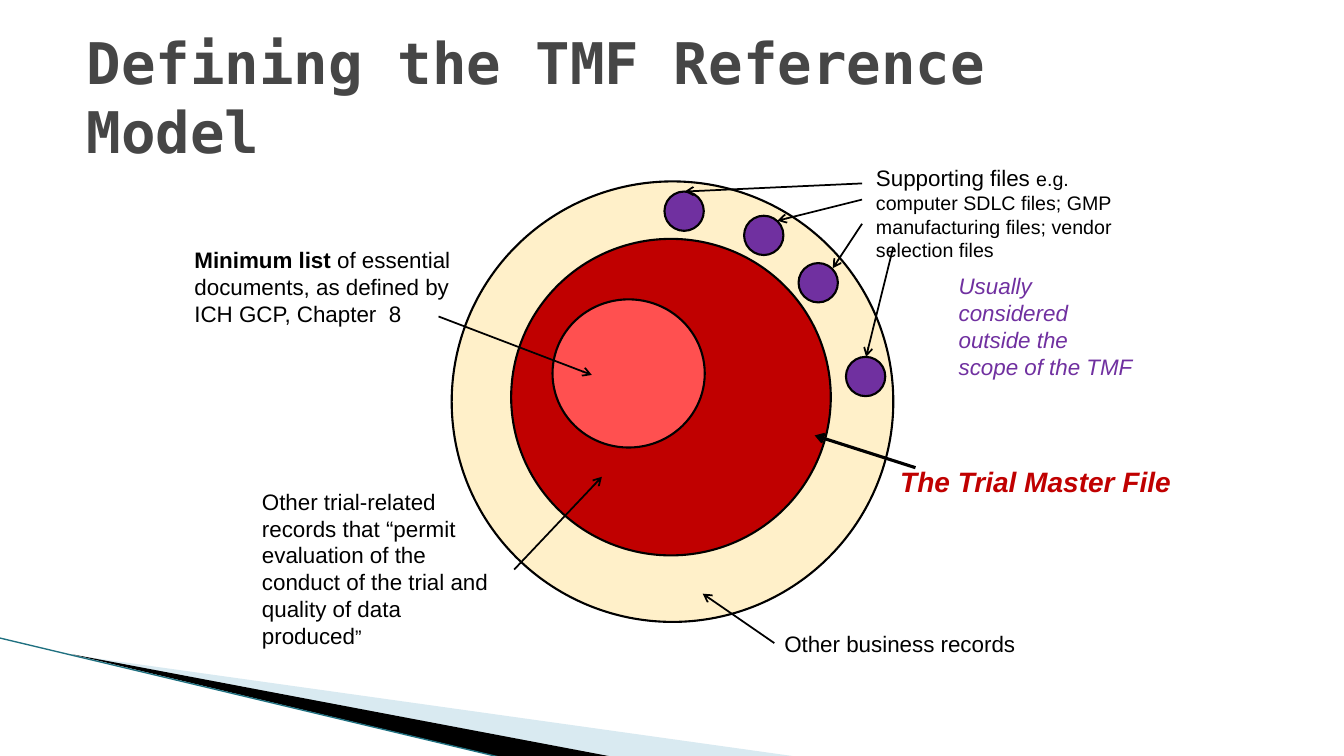
from lxml import etree
from pptx import Presentation
from pptx.dml.color import RGBColor
from pptx.enum.shapes import MSO_CONNECTOR as CONN, MSO_SHAPE as SHAPE
from pptx.enum.text import MSO_ANCHOR as ANCHOR
from pptx.oxml.ns import qn
from pptx.util import Inches, Pt

BLACK = RGBColor(0x00, 0x00, 0x00)
GREY = RGBColor(0x46, 0x46, 0x46)
CREAM = RGBColor(0xFF, 0xF0, 0xC9)
RED = RGBColor(0xC0, 0x00, 0x00)
CORAL = RGBColor(0xFF, 0x50, 0x50)
PURPLE = RGBColor(0x70, 0x30, 0xA0)
PALE_BLUE = RGBColor(0xD9, 0xEA, 0xF1)
TEAL = RGBColor(0x1F, 0x70, 0x80)

DOT_SIZE = 0.39
RINGS = [
    (2.65, 0.22, 4.38, 4.37, CREAM),
    (3.24, 0.79, 3.17, 3.14, RED),
    (3.65, 1.39, 1.51, 1.47, CORAL),
]
DOTS = [(4.76, 0.32), (5.55, 0.56), (6.09, 1.03), (6.56, 1.96)]
ARROWS = [
    (5.85, 4.8, 5.14, 4.31, 1.25),
    (6.72, 0.24, 4.96, 0.32, 1.25),
    (6.72, 0.4, 5.88, 0.61, 1.25),
    (6.72, 0.64, 6.43, 1.08, 1.25),
    (7.03, 0.87, 6.76, 1.96, 1.25),
    (3.27, 4.07, 4.14, 3.15, 1.25),
    (2.52, 1.56, 4.04, 2.14, 1.25),
    (7.25, 3.06, 6.25, 2.74, 2.25),
]
LABELS = [
    (5.85, 4.62, 2.81, 0.37, [("Other business records", 16, BLACK, "")]),
    (6.76, 0, 2.66, 1.08, [
        ("Supporting files ", 16, BLACK, ""),
        ("e.g. computer SDLC files; GMP manufacturing files; "
         "vendor selection files", 14, BLACK, "")]),
    (7.58, 1.07, 1.93, 1.45, [
        ("Usually considered outside the scope of the TMF", 16, PURPLE, "i")]),
    (0.67, 3.21, 2.6, 1.72, [
        ("Other trial-related records that “permit  evaluation of the "
         "conduct of the trial and quality of data produced", 16, BLACK, ""),
        ("”", 14, BLACK, "")]),
    (0, 0.81, 3.12, 0.91, [
        ("Minimum list ", 16, BLACK, "b"),
        ("of essential documents, as defined by ICH GCP, Chapter  8",
         16, BLACK, "")]),
    (7, 2.98, 2.92, 0.44, [("The Trial Master File", 20, RED, "bi")]),
]


def add_text(slide, x, y, w, h, runs, font="Arial", anchor=ANCHOR.TOP):
    """Add a wrapped text box made of (text, size, colour, style) runs."""
    box = slide.shapes.add_textbox(Inches(x), Inches(y), Inches(w), Inches(h))
    tf = box.text_frame
    tf.word_wrap = True
    tf.vertical_anchor = anchor
    for text, size, color, style in runs:
        r = tf.paragraphs[0].add_run()
        r.text = text
        r.font.name = font
        r.font.size = Pt(size)
        r.font.color.rgb = color
        r.font.bold = "b" in style
        r.font.italic = "i" in style


def add_circle(slide, x, y, w, h, color):
    """Add a filled ellipse with a black outline."""
    sp = slide.shapes.add_shape(
        SHAPE.OVAL, Inches(x), Inches(y), Inches(w), Inches(h))
    sp.shadow.inherit = False
    sp.fill.solid()
    sp.fill.fore_color.rgb = color
    sp.line.color.rgb = BLACK
    sp.line.width = Pt(1.5)


def add_line(slide, x1, y1, x2, y2, color, width, arrow=False):
    """Add a straight line, with an open arrowhead at its end if asked."""
    line = slide.shapes.add_connector(
        CONN.STRAIGHT, Inches(x1), Inches(y1), Inches(x2), Inches(y2))
    line.line.color.rgb = color
    line.line.width = Pt(width)
    if arrow:
        etree.SubElement(line.line._get_or_add_ln(), qn("a:tailEnd"), type="arrow")
    etree.SubElement(line._element.spPr, qn("a:effectLst"))


def add_wedge(slide, points, color):
    """Add a filled polygon without an outline."""
    builder = slide.shapes.build_freeform(
        *(Inches(v) for v in points[0]), scale=1.0)
    builder.add_line_segments([(Inches(x), Inches(y)) for x, y in points[1:]])
    sp = builder.convert_to_shape()
    sp.shadow.inherit = False
    sp.fill.solid()
    sp.fill.fore_color.rgb = color
    sp.line.fill.background()


def add_swoosh(slide, x, y):
    """Draw the sweeping corner decoration from its top left point."""
    wedges = [
        ([(0.73, 0.17), (7.93, 1.18), (6.08, 1.18)], PALE_BLUE),
        ([(0.71, 0.16), (6.09, 1.18), (4.96, 1.18)], BLACK),
    ]
    for points, color in wedges:
        add_wedge(slide, [(x + dx, y + dy) for dx, dy in points], color)
    add_line(slide, x, y, x + 4.95, y + 1.18, TEAL, 0.95)


def add_title(slide, x, y, w, h):
    """Place the slide title in the given box."""
    runs = [("Defining the TMF Reference Model", 41, GREY, "b")]
    add_text(slide, x, y, w, h, runs, "DejaVu Sans Mono", ANCHOR.MIDDLE)


def add_diagram(slide, x, y):
    """Draw the nested record circles with their labels and arrows."""
    for dx, dy, w, h, color in RINGS:
        add_circle(slide, x + dx, y + dy, w, h, color)
    for dx, dy in DOTS:
        add_circle(slide, x + dx, y + dy, DOT_SIZE, DOT_SIZE, PURPLE)
    for dx, dy, w, h, runs in LABELS:
        add_text(slide, x + dx, y + dy, w, h, runs)
    for x1, y1, x2, y2, width in ARROWS:
        add_line(slide, x + x1, y + y1, x + x2, y + y2, BLACK, width, True)


def main():
    """Build the slide and save it."""
    prs = Presentation()
    prs.slide_width, prs.slide_height = Inches(13.33), Inches(7.5)
    slide = prs.slides.add_slide(prs.slide_layouts[6])
    add_swoosh(slide, 0, 6.33)
    add_title(slide, 0.76, 0.6, 10.32, 0.7)
    add_diagram(slide, 1.83, 1.58)
    prs.save("out.pptx")


if __name__ == "__main__":
    main()
